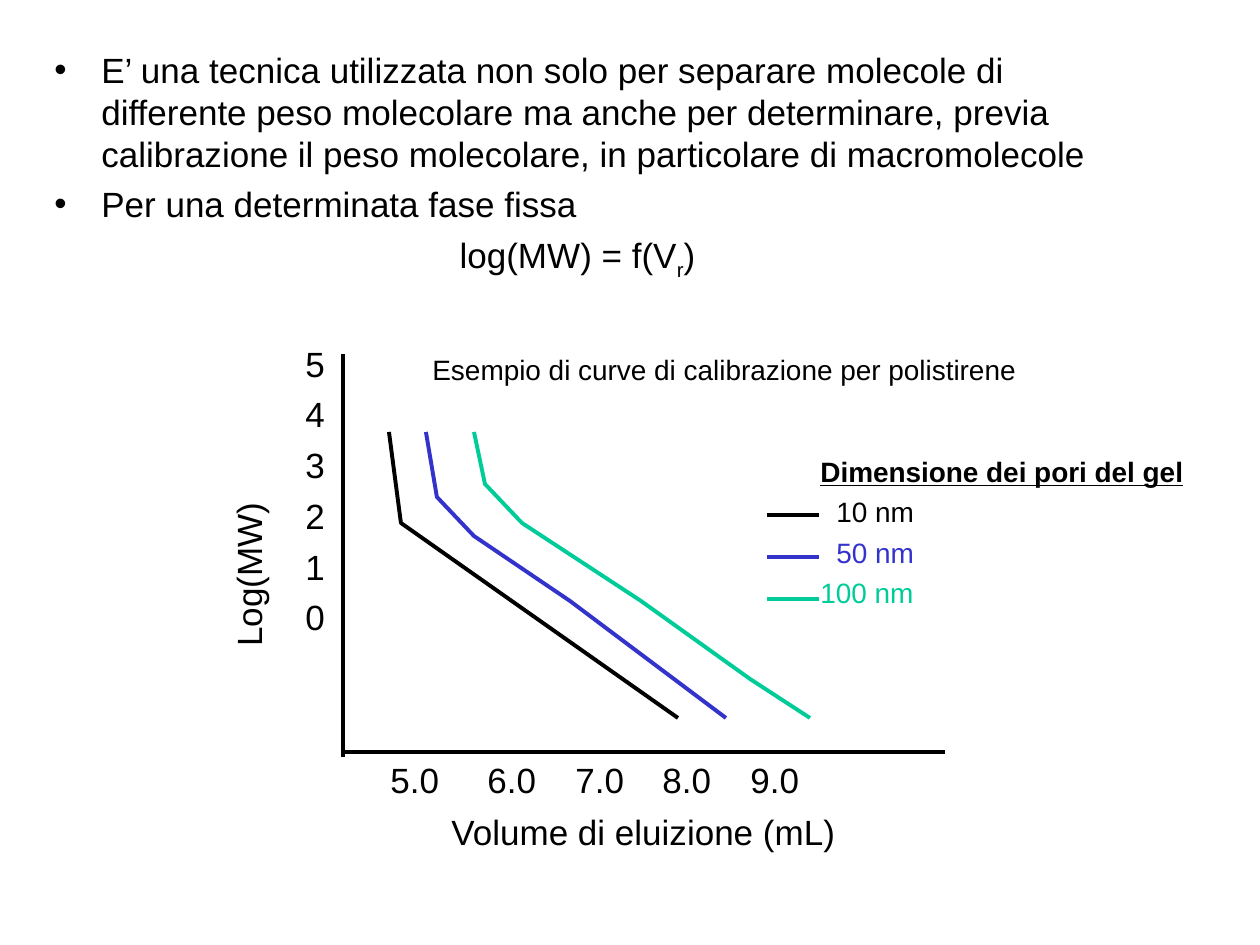
"""Build a slide on calibration curves for size-exclusion chromatography."""
from lxml.etree import SubElement
from pptx import Presentation
from pptx.dml.color import RGBColor
from pptx.enum.shapes import MSO_CONNECTOR as Connector
from pptx.enum.text import PP_ALIGN as Align
from pptx.oxml.ns import qn
from pptx.util import Pt

PX = 7257
BLACK, BLUE, GREEN = "000000", "3333CC", "00CC99"


def rgb(value):
    return RGBColor.from_string(value)


def write(box, text, size=20, color=BLACK, before=5, bold=False, underline=False,
          align=Align.LEFT, bullet=False, indent=0):
    """Add one paragraph; text between bars is subscript."""
    frame = box.text_frame
    first = not frame.text
    para = frame.paragraphs[0] if first else frame.add_paragraph()
    para.alignment = align
    para.space_before = Pt(0 if first else before)
    props = para._p.get_or_add_pPr()
    props.set("marL", str(indent * PX))
    props.set("indent", str(-indent * PX if bullet else 0))
    if bullet:
        SubElement(props, qn("a:buFont"), typeface="Arial")
        SubElement(props, qn("a:buChar"), char="•")
    for index, piece in enumerate(text.split("|")):
        span = para.add_run()
        span.text = piece
        span.font.name = "Arial"
        span.font.size = Pt(size)
        span.font.bold = bold
        span.font.underline = underline
        span.font.color.rgb = rgb(color)
        if index % 2:
            span._r.get_or_add_rPr().set("baseline", "-25000")


deck = Presentation()
deck.slide_width, deck.slide_height = 1260 * PX, 945 * PX
page = deck.slides.add_slide(deck.slide_layouts[6])

curves = [
    (BLACK, [(389, 432), (401, 523), (678, 718)]),
    (BLUE, [(426, 432), (437, 497), (474, 536), (570, 601), (726, 718)]),
    (GREEN, [(474, 432), (485, 484), (522, 523), (641, 601), (750, 679), (810, 718)]),
]
for color, points in curves:
    builder = page.shapes.build_freeform(*points[0], scale=PX)
    builder.add_line_segments(points[1:], close=False)
    curve = builder.convert_to_shape()
    curve.shadow.inherit = False
    curve.fill.background()
    curve.line.color.rgb = rgb(color)
    curve.line.width = Pt(2.25)

lines = [(343, 752, 945, 752, BLACK), (343, 354, 343, 757, BLACK)]
lines += [(767, 515 + 42 * row, 819, 515 + 42 * row, color)
          for row, (color, points) in enumerate(curves)]
for x1, y1, x2, y2, color in lines:
    line = page.shapes.add_connector(Connector.STRAIGHT, x1 * PX, y1 * PX, x2 * PX, y2 * PX)
    line.line.color.rgb = rgb(color)
    line.line.width = Pt(2.25)
    SubElement(line._element.spPr, qn("a:effectLst"))

places = {
    "body": (42, 42, 1071, 252, True),
    "y title": (164, 547, 169, 55, False),
    "y labels": (293, 336, 44, 309, False),
    "x title": (439, 804, 411, 55, False),
    "caption": (420, 346, 651, 47, True),
    "legend": (808, 448, 388, 169, False),
}
x_labels = {"5.0": 378, "6.0": 475, "7.0": 563, "8.0": 650, "9.0": 738}
places.update({label: (left, 752, 74, 55, False) for label, left in x_labels.items()})
boxes = {}
for role, (left, top, width, height, wrap) in places.items():
    boxes[role] = page.shapes.add_textbox(left * PX, top * PX, width * PX, height * PX)
    boxes[role].text_frame.word_wrap = wrap

write(boxes["body"], "E’ una tecnica utilizzata non solo per separare molecole di differente "
      "peso molecolare ma anche per determinare, previa calibrazione il peso molecolare, "
      "in particolare di macromolecole", bullet=True, indent=47)
write(boxes["body"], "Per una determinata fase fissa", bullet=True, indent=47)
write(boxes["body"], "log(MW) = f(V|r|)", align=Align.CENTER)

boxes["y title"].rotation = 270
write(boxes["y title"], "Log(MW)")
for label in "543210":
    write(boxes["y labels"], label)
for label in x_labels:
    write(boxes[label], label)
write(boxes["x title"], "Volume di eluizione (mL)")
write(boxes["caption"], "Esempio di curve di calibrazione per polistirene", size=16)

write(boxes["legend"], "Dimensione dei pori del gel", size=16, bold=True, underline=True)
for label, color, indent in (("10 nm", BLACK, 16), ("50 nm", BLUE, 16), ("100 nm", GREEN, 0)):
    write(boxes["legend"], label, size=16, color=color, before=4, indent=indent)

deck.save("out.pptx")
